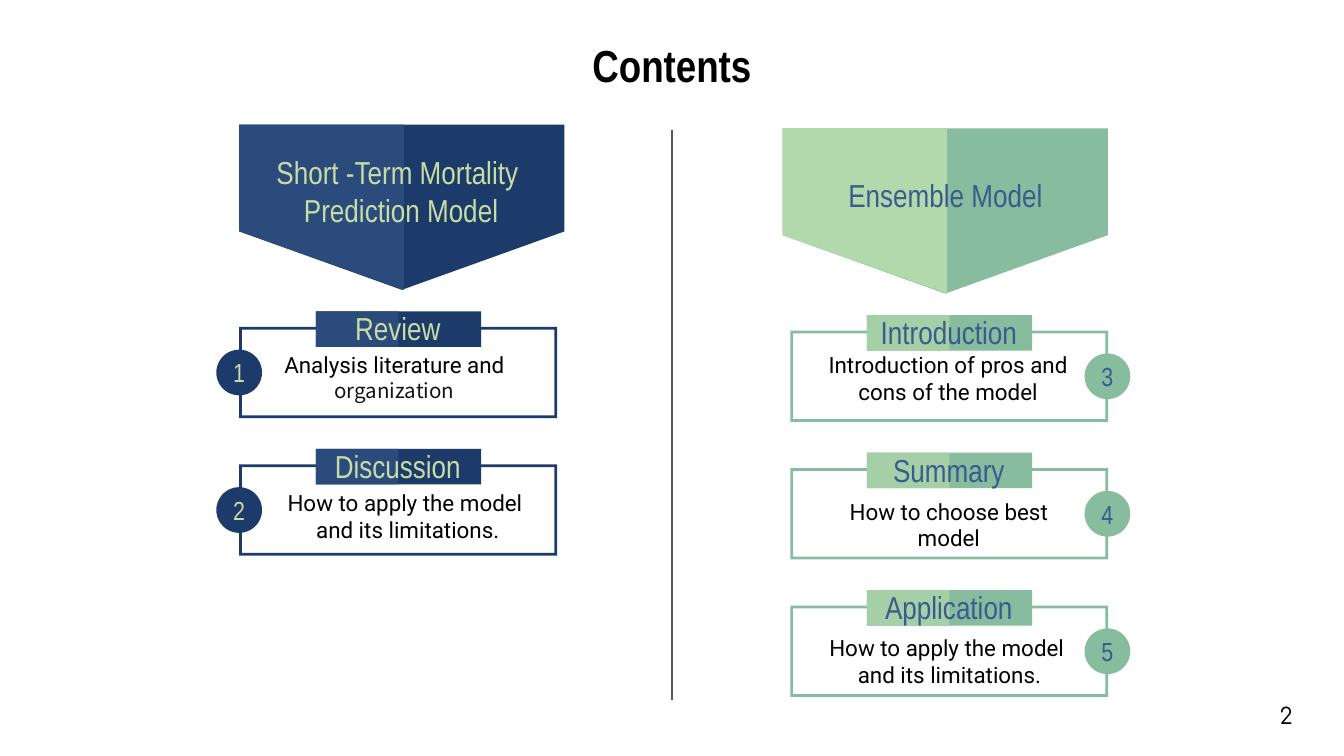
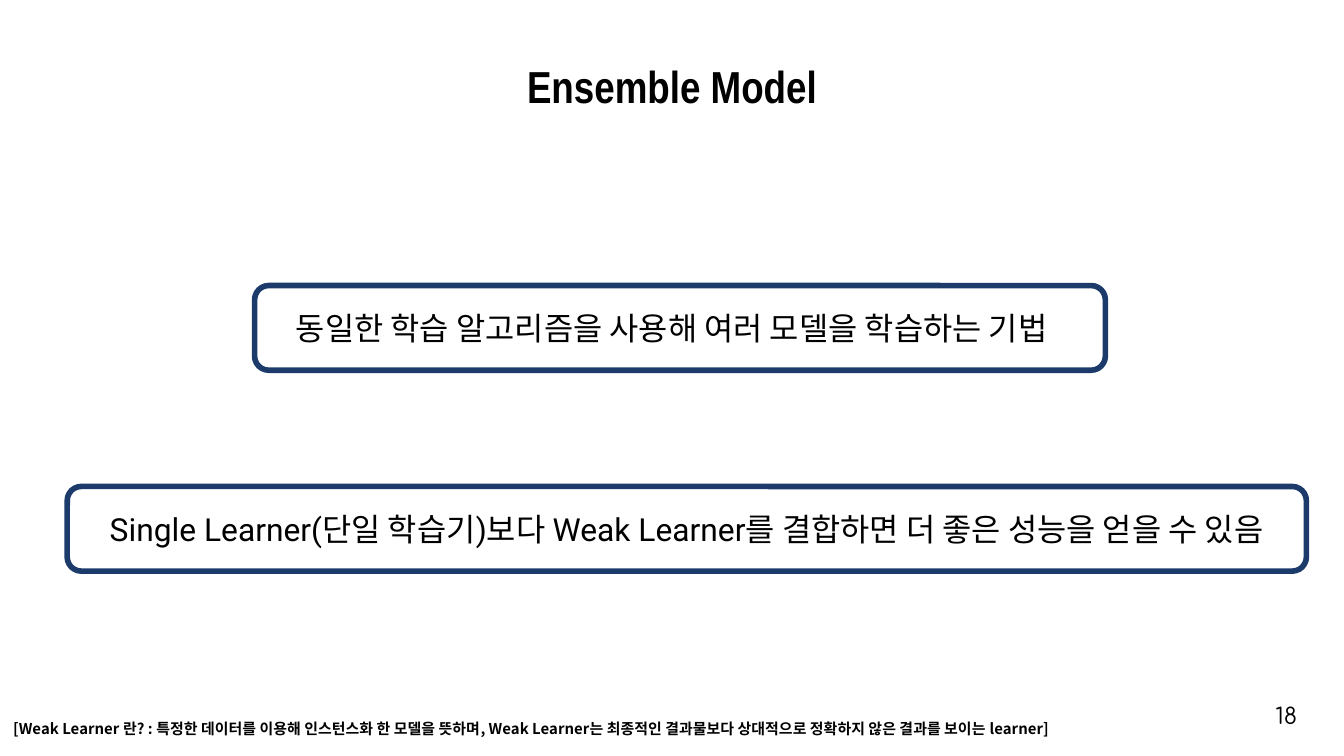
from pptx import Presentation
from pptx import util as u
from pptx.dml import color as dc
from pptx.enum import shapes as es, text as et
from pptx.oxml import ns
from lxml import etree as xml

hues = {
    "navy": "1C3B6A", "blue": "2B4B7C", "lime": "C8DDA4",
    "green": "87BC9E", "mint": "B2D9AB", "leaf": "A5D0A7", "steel": "395B8E",
    "black": "000000", "ink": "131313", "grey": "595959",
}
fonts = {
    "title": (24, "Arial Narrow", True),
    "head": (17, "Arial Narrow", False),
    "badge": (14, "Arial Narrow", False),
    "body": (12, "Roboto", False),
    "cjk": (11, "Noto Sans CJK SC", False),
    "claim": (17, "Roboto", False),
    "note": (8, "Noto Sans CJK KR", True),
    "page": (12, "Comfortaa", False),
}
deck = Presentation()
deck.slide_width = u.Inches(10)
deck.slide_height = deck.slide_width * 9 // 16
unit = deck.slide_width // 100
kinds = es.MSO_SHAPE


def draw(page, kind, at, fill=None, line=None):
    left, top, wide, high = [round(n * unit) for n in at]
    if kind is None:
        return page.shapes.add_textbox(left, top, wide, high)
    shape = page.shapes.add_shape(kind, left, top, wide, high)
    shape.shadow.inherit = False
    if fill:
        shape.fill.solid()
        shape.fill.fore_color.rgb = dc.RGBColor.from_string(hues[fill])
    else:
        shape.fill.background()
    if line:
        shape.line.color.rgb = dc.RGBColor.from_string(hues[line])
        shape.line.width = u.Pt(3)
    else:
        shape.line.fill.background()
    return shape


def write(shape, paras, hue="black", align="CENTER", anchor="MIDDLE", pad=1, fit="NONE"):
    frame = shape.text_frame
    frame.word_wrap = True
    frame.auto_size = et.MSO_AUTO_SIZE[fit]
    frame.vertical_anchor = et.MSO_ANCHOR[anchor]
    frame.margin_left = frame.margin_right = pad * unit
    frame.margin_top = frame.margin_bottom = pad * unit
    for i, runs in enumerate(paras):
        para = frame.paragraphs[0] if i == 0 else frame.add_paragraph()
        para.alignment = et.PP_ALIGN[align]
        for words, style in runs:
            run = para.add_run()
            run.text = words
            size, name, bold = fonts[style]
            run.font.size, run.font.name, run.font.bold = u.Pt(size), name, bold
            tint = "ink" if style == "cjk" else hue
            run.font.color.rgb = dc.RGBColor.from_string(hues[tint])
            if "CJK" in name:
                east = xml.SubElement(run.font._element, ns.qn("a:ea"))
                east.set("typeface", name)


pages = []
for title, top, num in [("Contents", 1.8, "2"), ("Ensemble Model", 3.4, "18")]:
    page = deck.slides.add_slide(deck.slide_layouts[5])
    name = page.shapes.title
    name.left, name.top = round(1.95 * unit), round(top * unit)
    name.width, name.height = round(96.1 * unit), round(6.3 * unit)
    write(name, [[(title, "title")]], anchor="TOP")
    write(draw(page, None, (92.7, 51.1, 6, 4.3)), [[(num, "page")]])
    pages.append(page)
toc, model = pages

apply = [[("How to apply the model ", "body")], [("and its limitations.", "body")]]
sides = [
    dict(
        dark="navy", light="blue", tab="blue", hue="lime",
        left=17.8, top=9.27, card=17.8, badge=16.1, label=19.35, first=1,
        goal=["Short -Term Mortality ", "Prediction Model"], area=(18.7, 11.85, 22.3, 4.7),
        items=[
            ("Review", [[("Analysis literature and ", "body"), ("organization", "cjk")]], 19.1, 20.5, 1.95),
            ("Discussion", apply, 18.7, 23.3, 2.1),
        ],
    ),
    dict(
        dark="green", light="mint", tab="leaf", hue="steel",
        left=58.23, top=9.55, card=58.8, badge=80.7, label=60.35, first=3,
        goal=["Ensemble Model"], area=(58.05, 11.05, 24.6, 6.9),
        items=[
            ("Introduction", [[("Introduction of pros and cons of the model", "body")]], 60.3, 20.5, 1.8),
            ("Summary", [[("How to choose best model", "body")]], 60.35, 20.5, 2.45),
            ("Application", apply, 60.4, 20.5, 2.4),
        ],
    ),
]
for side in sides:
    x, y, hue = side["left"], side["top"], side["hue"]
    whole = [(x, y + 7.95), (x + 12.1, y + 12.3), (x + 24.2, y + 7.95), (x + 24.2, y)]
    half = [(x, y + 7.95), (x + 12.25, y + 12.3), (x + 12.25, y)]
    for dots, fill in [(whole, side["dark"]), (half, side["light"])]:
        path = toc.shapes.build_freeform(round(x * unit), round(y * unit))
        path.add_line_segments([(round(a * unit), round(b * unit)) for a, b in dots], close=True)
        flag = path.convert_to_shape()
        flag.shadow.inherit = False
        flag.fill.solid()
        flag.fill.fore_color.rgb = dc.RGBColor.from_string(hues[fill])
        flag.line.fill.background()
    write(draw(toc, None, side["area"]), [[(words, "head")] for words in side["goal"]], hue)

    for i, (head, body, left, wide, drop) in enumerate(side["items"]):
        x, y = side["card"], side["top"] + 13.9 + 10.23 * i
        card = draw(toc, kinds.FRAME, (x, y + 1.15, 23.65, 6.8), side["dark"])
        card.adjustments[0] = 0.03
        draw(toc, kinds.RECTANGLE, (x + 5.7, y, 12.3, 2.65), side["dark"])
        draw(toc, kinds.RECTANGLE, (x + 5.7, y, 6.15, 2.65), side["tab"])
        badge = draw(toc, kinds.OVAL, (side["badge"], y + 2.85, 3.4, 3.4), side["dark"])
        write(badge, [[(str(side["first"] + i), "badge")]], hue, pad=0)
        write(draw(toc, None, (side["label"], y - 1.1, 20.5, 4.7)), [[(head, "head")]], hue)
        write(draw(toc, None, (left, y + drop, wide, 5.8)), body)

rule = toc.shapes.add_connector(
    es.MSO_CONNECTOR.STRAIGHT, 50 * unit, round(9.65 * unit), 50 * unit, round(52.1 * unit))
rule.line.color.rgb = dc.RGBColor.from_string(hues["grey"])
rule.line.width = u.Pt(0.75)
xml.SubElement(rule._element.spPr, ns.qn("a:effectLst"))

claims = [
    ("Single Learner(단일 학습기)보다 Weak Learner를 결합하면 더 좋은 성능을 얻을 수 있음",
     36.2, (5, 92.2), (2.9, 96.4)),
    ("동일한 학습 알고리즘을 사용해 여러 모델을 학습하는 기법", 21.25, (18.95, 63.3), (14.6, 70.8)),
]
for words, y, (x, wide), (left, span) in claims:
    write(draw(model, None, (left, y + 0.8, span, 4.7)), [[(words, "claim")]])
    draw(model, kinds.ROUNDED_RECTANGLE, (x, y, wide, 6.3), line="navy")
note = ("[Weak Learner 란? : 특정한 데이터를 이용해 인스턴스화 한 모델을 뜻하며, "
        "Weak Learner는 최종적인 결과물보다 상대적으로 정확하지 않은 결과를 보이는 learner]")
foot = draw(model, None, (0, 52.9, 89, 3.4))
write(foot, [[(note, "note")]], align="LEFT", anchor="TOP", fit="SHAPE_TO_FIT_TEXT")

deck.save("out.pptx")
